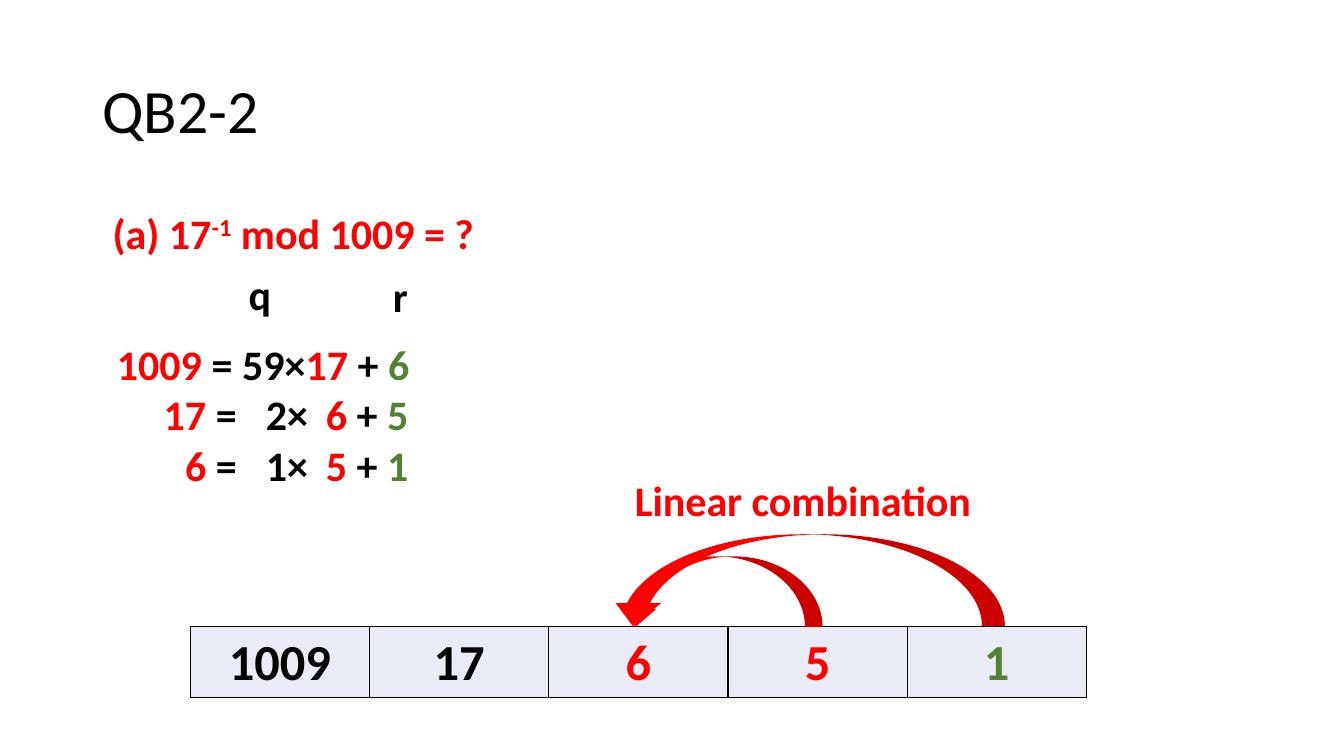
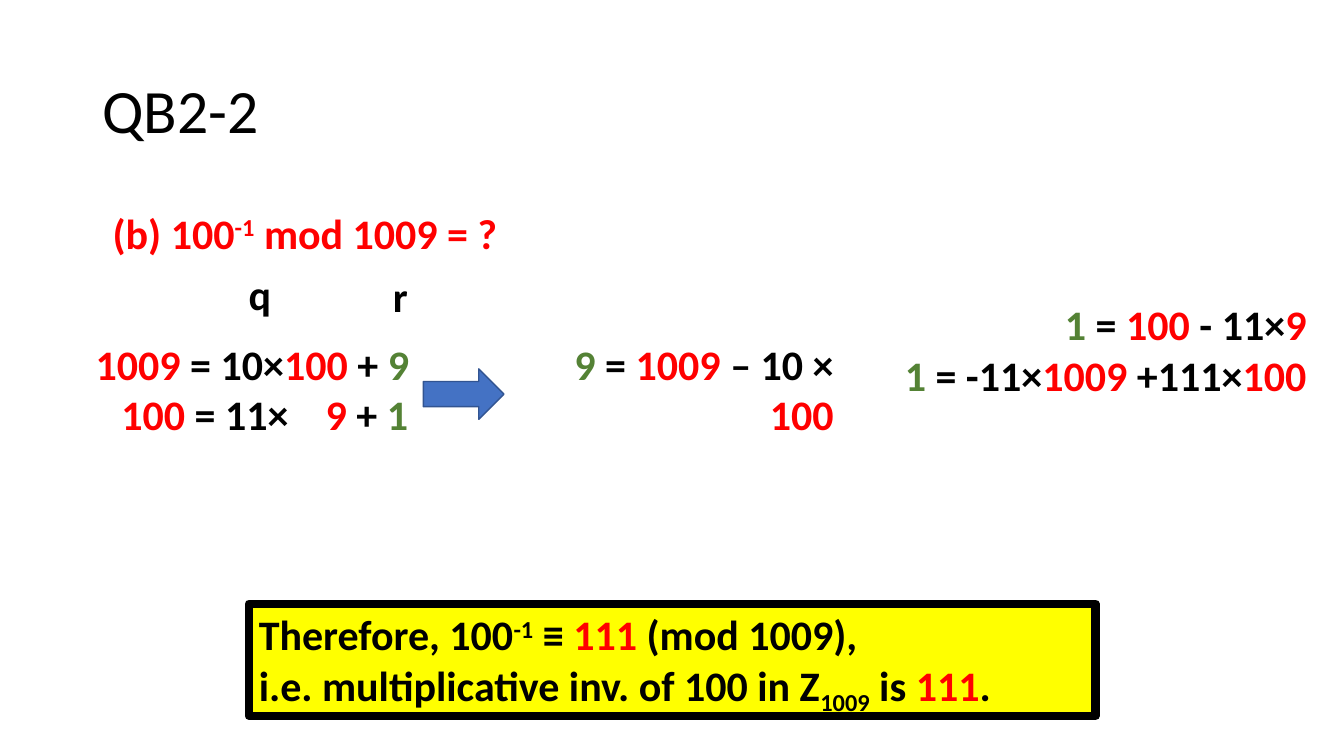
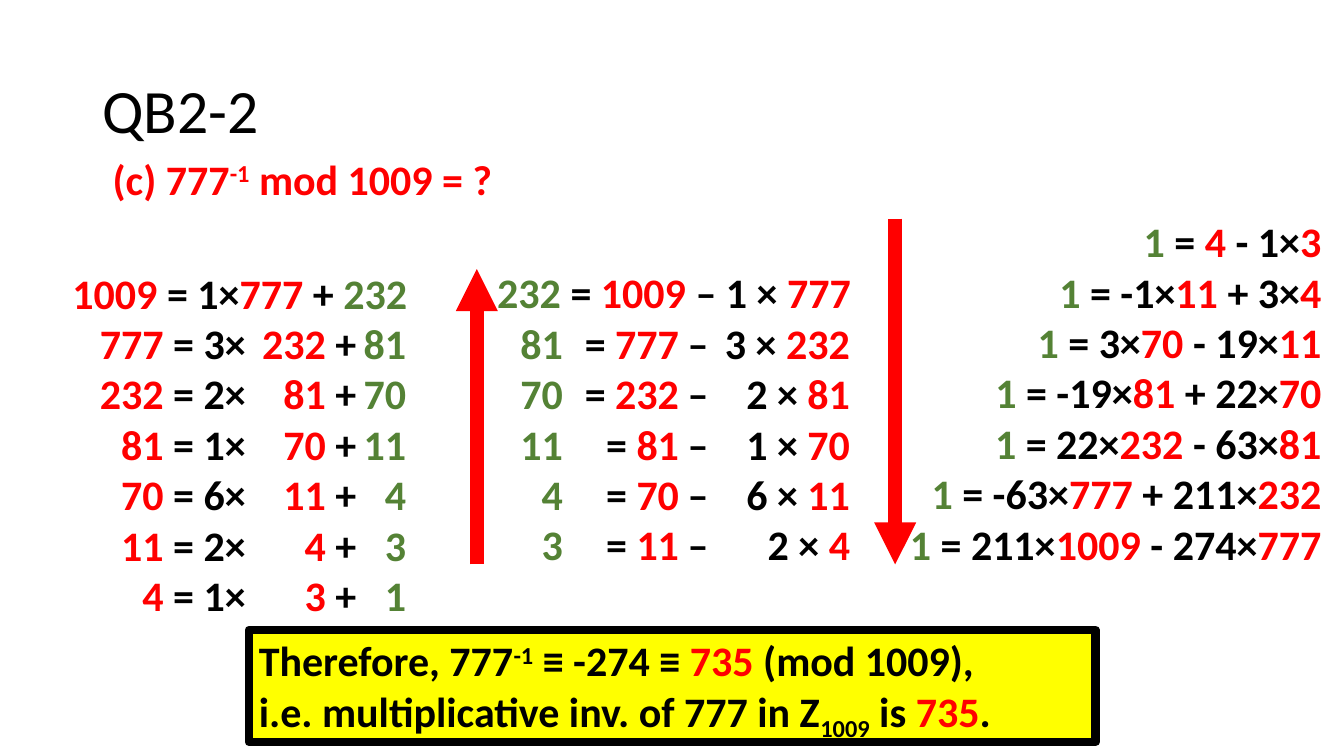
from collections import namedtuple

from lxml.etree import SubElement
from pptx import Presentation
from pptx.dml.color import RGBColor
from pptx.enum.shapes import MSO_CONNECTOR, MSO_SHAPE
from pptx.enum.text import MSO_ANCHOR, PP_ALIGN
from pptx.oxml.ns import qn
from pptx.util import Pt

BLACK = RGBColor(0x00, 0x00, 0x00)
RED = RGBColor(0xFF, 0x00, 0x00)
GREEN = RGBColor(0x54, 0x82, 0x35)
YELLOW = RGBColor(0xFF, 0xFF, 0x00)
BLUE = RGBColor(0x44, 0x72, 0xC4)
DARK_BLUE = RGBColor(0x32, 0x54, 0x91)
CELL_FILL = RGBColor(0xE9, 0xEB, 0xF5)

FONT = "Calibri"
MODULUS = 1009
SUPER, SUB = 30000, -25000
INSET = 7.2

Piece = namedtuple("Piece", "text color base", defaults=(BLACK, 0))
CLOSE = (" = ", "×", " + ")
CLOSE_BACK = (" = ", " – ", " × ")


def red(value):
    return Piece(str(value), RED)


def green(value):
    return Piece(str(value), GREEN)


def add_runs(p, pieces, size=30, bold=True):
    """Add one run per piece; a plain string is a black piece."""
    for piece in pieces:
        if isinstance(piece, str):
            piece = Piece(piece)
        r = p.add_run()
        r.text = piece.text
        r.font.name = FONT
        r.font.size = Pt(size)
        r.font.bold = bold
        r.font.color.rgb = piece.color
        if piece.base:
            r.font._element.set("baseline", str(piece.base))


def add_text(s, left, top, width, height, lines, size=30, bold=True):
    box = s.shapes.add_textbox(Pt(left), Pt(top), Pt(width), Pt(height))
    tf = box.text_frame
    tf.word_wrap = True
    for i, pieces in enumerate(lines):
        p = tf.add_paragraph() if i else tf.paragraphs[0]
        add_runs(p, pieces, size, bold)
    return box


def set_right_tabs(p, stops):
    tab_list = SubElement(p._p.get_or_add_pPr(), qn("a:tabLst"))
    for stop in stops:
        SubElement(tab_list, qn("a:tab"), pos=str(int(Pt(stop))), algn="r")


def add_equations(s, left, top, width, lines, stops=()):
    """Right-align the lines; those that start with a tab use right tab stops."""
    box = add_text(s, left, top, width, 7.2 + 36.5 * len(lines), lines)
    last_stop = width - 2 * INSET - 0.5
    for p in box.text_frame.paragraphs:
        if p.text.startswith("\t"):
            set_right_tabs(p, (*stops, last_stop))
        else:
            p.alignment = PP_ALIGN.RIGHT


def euclid_steps(a, b):
    """Return (a, q, b, r) with a = q×b + r, down to r = 1."""
    steps = []
    while b > 1:
        q, r = divmod(a, b)
        steps.append((a, q, b, r))
        a, b = b, r
    return steps


def division_lines(steps, tabbed):
    lines = []
    for i, (a, q, b, r) in enumerate(steps):
        equals, times, plus = tabbed if i else CLOSE
        start = ["\t"] if i else []
        lines.append(start + [red(a), f"{equals}{q}{times}", red(b), plus, green(r)])
    return lines


def remainder_lines(steps, tabbed=CLOSE_BACK):
    lines = []
    for i, (a, q, b, r) in enumerate(steps):
        equals, minus, times = tabbed if i else CLOSE_BACK
        start = ["\t"] if i else []
        lines.append(start + [green(r), equals, red(a), f"{minus}{q}{times}", red(b)])
    return lines


def combination_lines(rows):
    return [[green(1), f" = {first}", red(x), second, red(y)]
            for first, x, second, y in rows]


def add_question_slide(prs, letter, number, top=144.7):
    s = prs.slides.add_slide(prs.slide_layouts[6])
    title = add_text(s, 66, 28.8, 828, 104.4, [["QB2-2"]], 44, False)
    title.text_frame.vertical_anchor = MSO_ANCHOR.MIDDLE
    title.text_frame.paragraphs[0].line_spacing = 0.9
    question = [red(f"({letter}) {number}"), Piece("-1", RED, SUPER),
                red(f" mod {MODULUS} = ?")]
    add_text(s, 73.4, top, 320, 44, [question])
    return s


def add_quotient_labels(s):
    add_text(s, 170.6, 188, 40, 44, [["q"]])
    add_text(s, 273.6, 189.4, 40, 44, [["r"]])


def add_conclusion(s, top, number, middle, inverse):
    box = add_text(s, 177.8, top, 604.8, 80, [
        [f"Therefore, {number}", Piece("-1", base=SUPER), middle, red(inverse),
         f" (mod {MODULUS}),"],
        [f"i.e. multiplicative inv. of {number} in Z",
         Piece(str(MODULUS), base=SUB), " is ", red(inverse), "."],
    ])
    box.fill.solid()
    box.fill.fore_color.rgb = YELLOW
    box.line.color.rgb = BLACK
    box.line.width = Pt(6)


def add_block(s, kind, left, top, width, height, fill):
    block = s.shapes.add_shape(kind, Pt(left), Pt(top), Pt(width), Pt(height))
    block.shadow.inherit = False
    block.fill.solid()
    block.fill.fore_color.rgb = fill
    block.line.fill.background()
    return block


def add_curved_arrow(s, left, top, width, height):
    arrow = add_block(s, MSO_SHAPE.CURVED_DOWN_ARROW, left, top, width, height, RED)
    arrow._element.spPr.xfrm.set("flipH", "1")


def add_vertical_arrow(s, x, start, end):
    arrow = s.shapes.add_connector(MSO_CONNECTOR.STRAIGHT,
                                   Pt(x), Pt(start), Pt(x), Pt(end))
    arrow.line.color.rgb = RED
    arrow.line.width = Pt(10)
    SubElement(arrow.line._get_or_add_ln(), qn("a:tailEnd"), type="triangle")
    SubElement(arrow._element.spPr, qn("a:effectLst"))


def add_cell_borders(cell):
    tc_pr = cell._tc.get_or_add_tcPr()
    for i, side in enumerate(("lnL", "lnR", "lnT", "lnB")):
        ln = tc_pr.makeelement(qn(f"a:{side}"), {"w": str(int(Pt(1)))})
        fill = SubElement(ln, qn("a:solidFill"))
        SubElement(fill, qn("a:srgbClr"), val=str(BLACK))
        tc_pr.insert(i, ln)


def add_number_row(s, left, top, column_width, height, pieces):
    frame = s.shapes.add_table(1, len(pieces), Pt(left), Pt(top),
                               Pt(column_width * len(pieces)), Pt(height))
    table = frame.table
    for column, cell, piece in zip(table.columns, table.rows[0].cells, pieces):
        column.width = Pt(column_width)
        cell.fill.solid()
        cell.fill.fore_color.rgb = CELL_FILL
        p = cell.text_frame.paragraphs[0]
        p.alignment = PP_ALIGN.CENTER
        add_runs(p, [piece], 36)
        add_cell_borders(cell)


def build_part_a(prs):
    s = add_question_slide(prs, "a", 17)
    add_quotient_labels(s)
    lines = division_lines(euclid_steps(MODULUS, 17), (" =\t", "×\t", " + "))
    add_equations(s, 73, 238.3, 226.5, lines, (89, 140))
    add_number_row(s, 136, 447.8, 128, 50.4,
                   ["1009", "17", red(6), red(5), green(1)])
    add_curved_arrow(s, 435.6, 381.6, 282.2, 65.5)
    add_curved_arrow(s, 441.4, 397.4, 146.2, 50.4)
    add_text(s, 446.4, 335.5, 290, 44, [[red("Linear combination")]])


def build_part_b(prs):
    s = add_question_slide(prs, "b", 100)
    add_quotient_labels(s)
    steps = euclid_steps(MODULUS, 100)
    add_equations(s, 53, 238.3, 246.3, division_lines(steps, (" = ", "×\t", " + ")),
                  (146,))
    add_equations(s, 360, 238.3, 242.6, remainder_lines(steps[:1]))
    add_equations(s, 625, 210, 315.3, combination_lines([
        ("", 100, " - 11×", 9),
        ("-11×", 1009, " +111×", 100),
    ]))
    arrow = add_block(s, MSO_SHAPE.RIGHT_ARROW, 302.4, 263.5, 57.6, 36, BLUE)
    arrow.line.color.rgb = DARK_BLUE
    arrow.line.width = Pt(1)
    add_conclusion(s, 431.3, 100, " ≡ ", 111)


def build_part_c(prs):
    s = add_question_slide(prs, "c", 777, 105.8)
    steps = euclid_steps(MODULUS, 777)
    add_equations(s, 37, 187.2, 261, division_lines(steps, (" = ", "×\t", " +\t")),
                  (131.5, 210.5))
    add_equations(s, 340, 187.2, 275,
                  remainder_lines(steps[:-1], ("\t= ", "\t–\t", " × ")),
                  (55, 138, 159))
    add_equations(s, 630, 150.5, 321, combination_lines([
        ("", 4, " - 1×", 3),
        ("-1×", 11, " + 3×", 4),
        ("3×", 70, " - 19×", 11),
        ("-19×", 81, " + 22×", 70),
        ("22×", 232, " - 63×", 81),
        ("-63×", 777, " + 211×", 232),
        ("211×", 1009, " - 274×", 777),
    ]))
    add_conclusion(s, 450, 777, " ≡ -274 ≡ ", 735)
    add_vertical_arrow(s, 340.6, 403.2, 192.2)
    add_vertical_arrow(s, 639.4, 156.2, 403.2)


def main():
    prs = Presentation()
    prs.slide_width, prs.slide_height = Pt(960), Pt(540)
    build_part_a(prs)
    build_part_b(prs)
    build_part_c(prs)
    prs.save("out.pptx")


if __name__ == "__main__":
    main()
